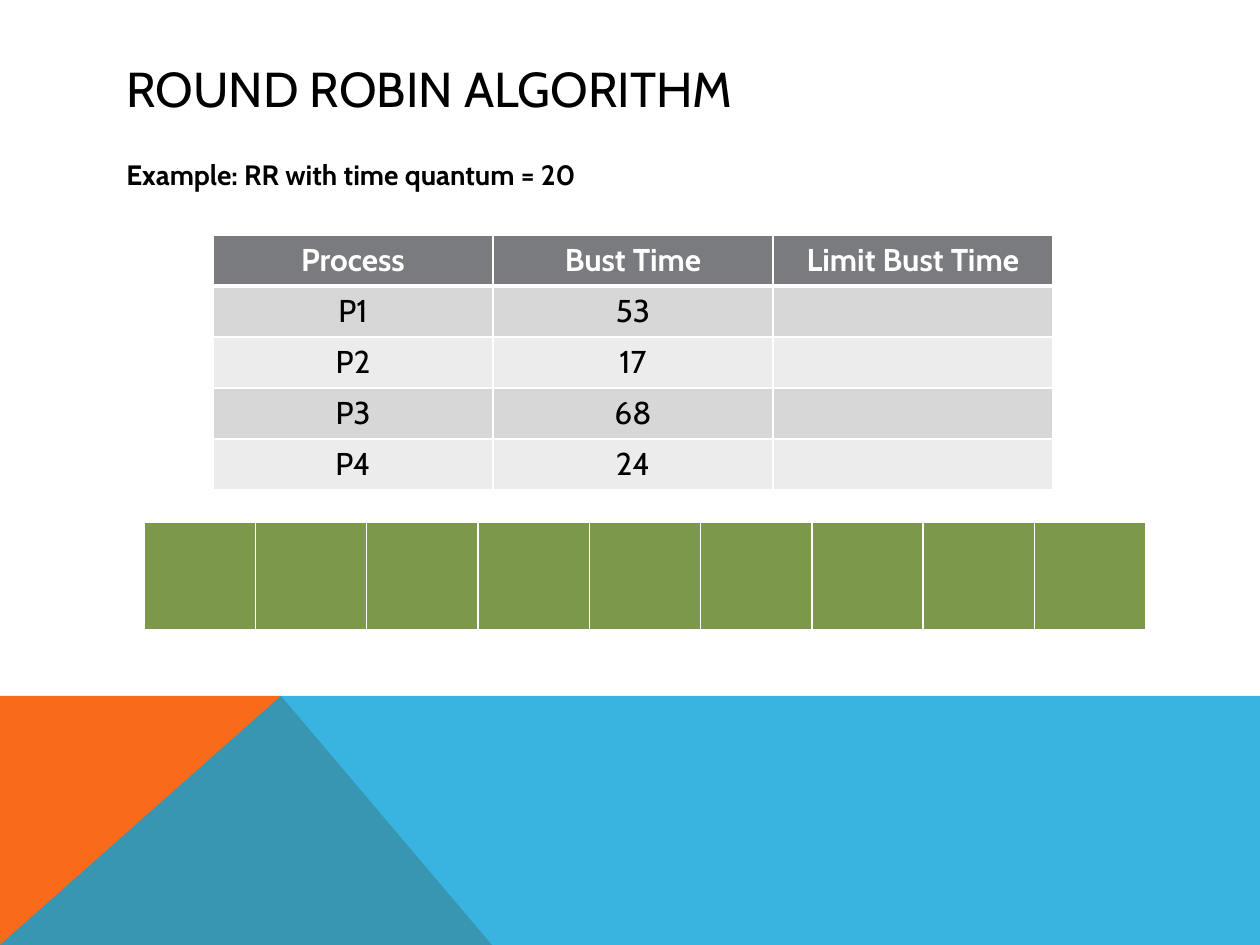
from lxml import etree
from pptx import Presentation
from pptx import util as u
from pptx.dml.color import RGBColor
from pptx.enum import text
from pptx.oxml import ns

EMU_PER_PIXEL = 914400 / 126
WIDTH, HEIGHT = 1260, 945

BLACK = RGBColor(0x00, 0x00, 0x00)
WHITE = RGBColor(0xFF, 0xFF, 0xFF)
ORANGE = RGBColor(0xF9, 0x6A, 0x1B)
BLUE = RGBColor(0x08, 0xA1, 0xD9)
HEADER_GRAY = RGBColor(0x79, 0x7B, 0x7E)
BANDS = (RGBColor(0xD7, 0xD7, 0xD8), RGBColor(0xEC, 0xEC, 0xEC))
GREEN = RGBColor(0x7C, 0x98, 0x4A)


def px(length):
    """Turn pixels into EMU."""
    return u.Emu(round(length * EMU_PER_PIXEL))


class SlideBuilder:
    """Holds the style and the current slide."""

    font_name = "Cabin"

    def __init__(self, slide):
        """Start building on the given slide."""
        self.slide = slide

    def style(self, paragraph, size, color, bold=False):
        """Set the font of a whole paragraph."""
        font = paragraph.font
        font.name, font.size, font.bold = self.font_name, u.Pt(size), bold
        font.color.rgb = color

    def polygon(self, points, color, opacity=100):
        """Draw a closed filled outline without a line."""
        builder = self.slide.shapes.build_freeform(*points[0], scale=EMU_PER_PIXEL)
        builder.add_line_segments(points[1:], close=True)
        shape = builder.convert_to_shape()
        shape.shadow.inherit = False
        shape.line.fill.background()
        shape.fill.solid()
        shape.fill.fore_color.rgb = color
        if opacity < 100:
            fill_color = shape.element.spPr.find(".//" + ns.qn("a:srgbClr"))
            etree.SubElement(fill_color, ns.qn("a:alpha"), val=str(opacity * 1000))

    def text_box(self, box, words, size, bold=False, anchor=text.MSO_ANCHOR.TOP):
        """Add a wrapped line of black text."""
        shape = self.slide.shapes.add_textbox(*map(px, box))
        frame = shape.text_frame
        frame.word_wrap = True
        frame.vertical_anchor = anchor
        paragraph = frame.paragraphs[0]
        paragraph.text = words
        self.style(paragraph, size, BLACK, bold)
        return paragraph

    def border(self, cell, bottom):
        """Give a cell white borders, with its own bottom width in points."""
        properties = cell._tc.get_or_add_tcPr()
        for side, width in (("L", 1), ("R", 1), ("T", 1), ("B", bottom)):
            line = etree.SubElement(properties, ns.qn(f"a:ln{side}"), w=str(u.Pt(width)))
            fill = etree.SubElement(line, ns.qn("a:solidFill"))
            etree.SubElement(fill, ns.qn("a:srgbClr"), val=str(WHITE))

    def table(self, box, rows, fills, header=False, bottom=1):
        """Add a table with equal columns and one fill per row, None for no fill."""
        frame = self.slide.shapes.add_table(len(rows), len(rows[0]), *map(px, box))
        table = frame.table
        table.first_row = header
        table.horz_banding = False
        for row_index, (row, color) in enumerate(zip(rows, fills)):
            is_header = header and row_index == 0
            for column_index, words in enumerate(row):
                cell = table.cell(row_index, column_index)
                self.border(cell, 3 if is_header else bottom)
                if color is None:
                    cell.fill.background()
                else:
                    cell.fill.solid()
                    cell.fill.fore_color.rgb = color
                paragraph = cell.text_frame.paragraphs[0]
                paragraph.text = words
                paragraph.alignment = text.PP_ALIGN.CENTER
                self.style(paragraph, 18, WHITE if is_header else BLACK, is_header)


def main():
    """Build the round robin slide."""
    presentation = Presentation()
    presentation.slide_width, presentation.slide_height = px(WIDTH), px(HEIGHT)
    builder = SlideBuilder(presentation.slides.add_slide(presentation.slide_layouts[6]))

    band_top, peak = 696, 281
    builder.polygon([(0, HEIGHT), (0, band_top), (peak, band_top), (492, HEIGHT)], ORANGE)
    builder.polygon([(0, HEIGHT), (peak, band_top), (WIDTH, band_top), (WIDTH, HEIGHT)],
                    BLUE, opacity=80)

    builder.text_box((114, 50, 1036, 76), "ROUND ROBIN ALGORITHM", 28,
                     anchor=text.MSO_ANCHOR.MIDDLE)
    example = builder.text_box((114, 151, 1036, 493),
                               "Example: RR with time quantum = 20", 16, bold=True)
    example.space_before = u.Pt(8)

    processes = [("Process", "Bust Time", "Limit Bust Time"),
                 ("P1", "53", ""), ("P2", "17", ""), ("P3", "68", ""), ("P4", "24", "")]
    builder.table((213, 235, 840, 255), processes, (HEADER_GRAY, *BANDS, *BANDS), header=True)

    chart_left, chart_top, chart_width, chart_height, slots = 144, 522, 1002, 109, 9
    builder.table((chart_left, chart_top, chart_width, chart_height),
                  [[""] * slots], [GREEN], bottom=3)
    builder.table((chart_left, chart_top + chart_height, chart_width, 51),
                  [[""] * (2 * slots)], [None], bottom=3)

    presentation.save("out.pptx")


main()
